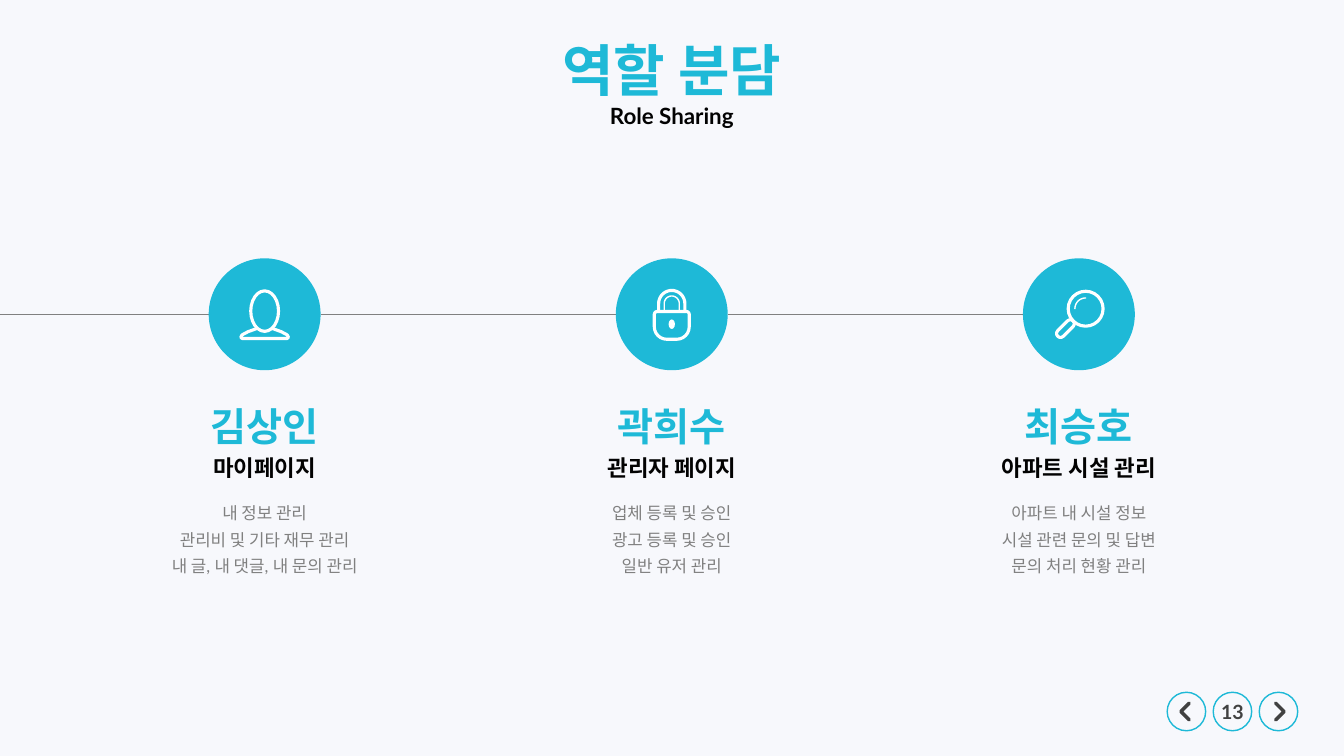
from math import cos, radians, sin

from lxml.etree import SubElement
from pptx import Presentation
from pptx.dml.color import RGBColor
from pptx.enum.shapes import MSO_CONNECTOR as Connector, MSO_SHAPE as Shape
from pptx.enum.text import MSO_ANCHOR as Anchor, MSO_AUTO_SIZE as AutoSize, PP_ALIGN as Align
from pptx.oxml.ns import qn
from pptx.util import Cm, Pt

CYAN = RGBColor(0x1E, 0xB9, 0xD7)
BLACK = RGBColor(0x02, 0x02, 0x02)
GRAY = RGBColor(0x80, 0x80, 0x80)
DARK = RGBColor(0x41, 0x41, 0x41)
WHITE = RGBColor(0xFF, 0xFF, 0xFF)
BACKGROUND = RGBColor(0xF7, 0xF8, 0xFC)

FONT = "Lato"
CENTER_X = 16.93
COLUMN_STEP = 10.26
LINE_Y = 7.92
RADIUS = 1.41
ICON_LINE = 2.25


def arc(center_x, center_y, radius, start, end):
    angles = [radians(start + (end - start) * i / 24) for i in range(25)]
    return [(center_x + radius * cos(a), center_y + radius * sin(a)) for a in angles]


class SlideBuilder:
    def __init__(self, slide):
        self.slide = slide
        self.shapes = slide.shapes
        slide.background.fill.solid()
        slide.background.fill.fore_color.rgb = BACKGROUND

    def set_text(self, shape, lines, size, color, bold=True, spacing=1.0, wrap=False, anchor=Anchor.TOP):
        frame = shape.text_frame
        frame.text = "\n".join(lines)
        frame.word_wrap = wrap
        frame.auto_size = AutoSize.NONE
        frame.vertical_anchor = anchor
        for paragraph in frame.paragraphs:
            properties = paragraph._p.get_or_add_pPr()
            properties.set("marL", "0")
            properties.set("indent", "0")
            SubElement(properties, qn("a:buNone"))
            paragraph.alignment = Align.CENTER
            paragraph.line_spacing = spacing
            paragraph.space_before = Pt(0)
            paragraph.font.name = FONT
            paragraph.font.size = Pt(size)
            paragraph.font.bold = bold
            paragraph.font.color.rgb = color

    def placeholder(self, index, center_x, top, width, height, lines, size, color, **style):
        shape = self.slide.placeholders[index]
        shape.left, shape.top = Cm(center_x - width / 2), Cm(top)
        shape.width, shape.height = Cm(width), Cm(height)
        self.set_text(shape, lines, size, color, **style)

    def label(self, center_x, top, width, height, text, size, color, **style):
        box = self.shapes.add_textbox(Cm(center_x - width / 2), Cm(top), Cm(width), Cm(height))
        self.set_text(box, [text], size, color, **style)

    def paint(self, shape, fill, line, weight):
        shape.shadow.inherit = False
        if fill is None:
            shape.fill.background()
        else:
            shape.fill.solid()
            shape.fill.fore_color.rgb = fill
        if line is None:
            shape.line.fill.background()
        else:
            shape.line.color.rgb = line
            shape.line.width = Pt(weight)

    def preset(self, kind, center_x, center_y, width, height, fill=None, line=None, weight=ICON_LINE):
        shape = self.shapes.add_shape(
            kind, Cm(center_x - width / 2), Cm(center_y - height / 2), Cm(width), Cm(height))
        self.paint(shape, fill, line, weight)
        return shape

    def stroke(self, center_x, center_y, points, color=WHITE, weight=ICON_LINE, close=False):
        placed = [(Cm(center_x + x), Cm(center_y + y)) for x, y in points]
        builder = self.shapes.build_freeform(*placed[0])
        builder.add_line_segments(placed[1:], close=close)
        shape = builder.convert_to_shape()
        self.paint(shape, None, color, weight)
        shape.line._get_or_add_ln().set("cap", "rnd")

    def rule(self, start_x, end_x, y):
        connector = self.shapes.add_connector(
            Connector.STRAIGHT, Cm(start_x), Cm(y), Cm(end_x), Cm(y))
        connector.line.color.rgb = GRAY
        connector.line.width = Pt(0.5)
        SubElement(connector._element.spPr, qn("a:effectLst"))

    def person_icon(self, x, y):
        self.preset(Shape.OVAL, x, y - 0.08, 0.7, 1.02, line=WHITE)
        left = [(-0.2, 0.36), (-0.42, 0.44), (-0.57, 0.52), (-0.6, 0.58), (-0.57, 0.61)]
        right = [(-dx, dy) for dx, dy in reversed(left)]
        self.stroke(x, y, left + right)

    def lock_icon(self, x, y):
        body = self.preset(Shape.ROUND_2_SAME_RECTANGLE, x, y + 0.28, 0.88, 0.7, line=WHITE)
        body.adjustments[0] = 0.1
        body.adjustments[1] = 0.45
        for radius, weight in ((0.33, ICON_LINE), (0.19, 1)):
            arch = [(-radius, -0.07)] + arc(0, -0.27, radius, 180, 360) + [(radius, -0.07)]
            self.stroke(x, y, arch, weight=weight)
        self.preset(Shape.OVAL, x, y + 0.25, 0.16, 0.24, fill=WHITE)

    def magnifier_icon(self, x, y):
        self.preset(Shape.OVAL, x + 0.17, y - 0.14, 0.88, 0.88, line=WHITE)
        self.stroke(x, y, arc(0.17, -0.14, 0.27, 180, 270), weight=1)
        handle = self.preset(Shape.ROUNDED_RECTANGLE, x - 0.34, y + 0.36, 0.55, 0.2, line=WHITE)
        handle.adjustments[0] = 0.5
        handle.rotation = 315

    def page_navigation(self, number):
        y = 17.93
        previous_x, number_x, next_x = (29.9 + 1.16 * i for i in range(3))
        for x in (previous_x, number_x, next_x):
            self.preset(Shape.OVAL, x, y, 0.97, 0.97, line=CYAN, weight=1)
        for x, direction in ((previous_x, -1), (next_x, 1)):
            chevron = [(-0.07 * direction, -0.21), (0.14 * direction, 0), (-0.07 * direction, 0.21)]
            self.stroke(x, y, chevron, DARK, 2.5)
        self.label(number_x, y - 0.43, 1.1, 0.86, number, 14, DARK, anchor=Anchor.MIDDLE)


def main():
    presentation = Presentation()
    presentation.slide_width, presentation.slide_height = Cm(33.87), Cm(19.05)
    builder = SlideBuilder(presentation.slides.add_slide(presentation.slide_layouts[4]))

    builder.placeholder(0, CENTER_X, 0.76, 6.7, 1.96, ["역할 분담"], 40, CYAN)
    builder.placeholder(1, CENTER_X, 2.44, 3.96, 0.94, ["Role Sharing"], 16, BLACK)

    members = [
        ("김상인", "마이페이지", 3.35, builder.person_icon,
         ["내 정보 관리", "관리비 및 기타 재무 관리", "내 글, 내 댓글, 내 문의 관리"]),
        ("곽희수", "관리자 페이지", 4.14, builder.lock_icon,
         ["업체 등록 및 승인", "광고 등록 및 승인", "일반 유저 관리"]),
        ("최승호", "아파트 시설 관리", 4.9, builder.magnifier_icon,
         ["아파트 내 시설 정보", "시설 관련 문의 및 답변", "문의 처리 현황 관리"]),
    ]
    line_start = 0
    for column, (name, role, role_width, draw_icon, tasks) in enumerate(members):
        x = CENTER_X + (column - 1) * COLUMN_STEP
        builder.rule(line_start, x - RADIUS, LINE_Y)
        line_start = x + RADIUS
        builder.preset(Shape.OVAL, x, LINE_Y, 2 * RADIUS, 2 * RADIUS, fill=CYAN)
        draw_icon(x, LINE_Y)
        builder.label(x, 10.01, 3.5, 1.45, name, 28, CYAN)
        builder.label(x, 11.33, role_width, 0.94, role, 16, BLACK)
        builder.placeholder(column + 2, x, 12.4, 7.75, 2.26, tasks, 12, GRAY,
                            bold=False, spacing=1.3, wrap=True)

    builder.page_navigation("13")
    presentation.save("out.pptx")


if __name__ == "__main__":
    main()
